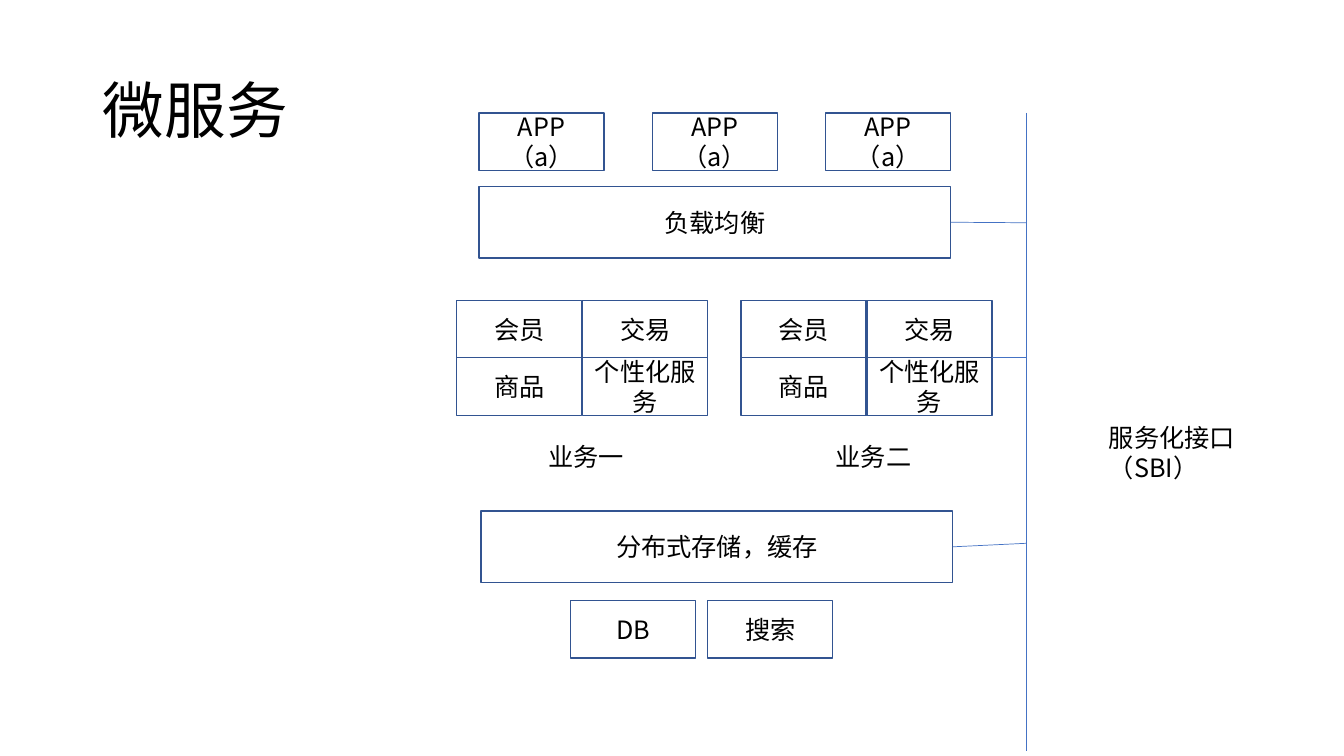
from lxml import etree
from pptx import Presentation
from pptx.dml.color import RGBColor
from pptx.enum.shapes import MSO_CONNECTOR, MSO_SHAPE
from pptx.enum.text import MSO_ANCHOR, MSO_AUTO_SIZE, PP_ALIGN
from pptx.oxml.ns import qn
from pptx.util import Inches, Pt

RECT = MSO_SHAPE.RECTANGLE
LINE = MSO_CONNECTOR.STRAIGHT
MIDDLE = MSO_ANCHOR.MIDDLE
TOP = MSO_ANCHOR.TOP
LEFT = PP_ALIGN.LEFT
CENTER = PP_ALIGN.CENTER
NO_FIT = MSO_AUTO_SIZE.NONE
GROW = MSO_AUTO_SIZE.SHAPE_TO_FIT_TEXT

COLORS = {"fill": "FFFFFF", "edge": "325491", "link": "4472C4", "text": "000000"}
FONT = "Noto Sans CJK SC"
CELL_W, CELL_H = 1.24, 0.57
BAR_W, BAR_H = 4.68, 0.71
PITCH = 1.25
BUS_X = 10.18
SERVICES = [["会员", "交易"], ["商品", "个性化服务"]]


def color(name):
    return RGBColor.from_string(COLORS[name])


class Board:
    def __init__(self, slide):
        self.slide = slide

    def style(self, shape, text, size, align, anchor):
        frame = shape.text_frame
        frame.text = text
        frame.vertical_anchor = anchor
        for para in frame.paragraphs:
            para.alignment = align
            for run in para.runs:
                run.font.size = Pt(size)
                run.font.name = FONT
                run.font.color.rgb = color("text")
                east = etree.SubElement(run.font._element, qn("a:ea"))
                east.set("typeface", FONT)

    def title(self, text, x, y, w, h):
        shape = self.slide.shapes.title
        shape.left, shape.top = Inches(x), Inches(y)
        shape.width, shape.height = Inches(w), Inches(h)
        self.style(shape, text, 44, LEFT, MIDDLE)
        shape.text_frame.auto_size = NO_FIT
        shape.text_frame.paragraphs[0].line_spacing = 0.9

    def box(self, text, x, y, w=CELL_W, h=CELL_H, group=None):
        owner = group or self.slide
        shape = owner.shapes.add_shape(RECT, Inches(x), Inches(y), Inches(w), Inches(h))
        shape.shadow.inherit = False
        shape.fill.solid()
        shape.fill.fore_color.rgb = color("fill")
        shape.line.color.rgb = color("edge")
        shape.line.width = Pt(1)
        self.style(shape, text, 18, CENTER, MIDDLE)
        return shape

    def label(self, text, x, y, w, wrap=False):
        shape = self.slide.shapes.add_textbox(Inches(x), Inches(y), Inches(w), Inches(0.4))
        self.style(shape, text, 18, LEFT, TOP)
        shape.text_frame.word_wrap = wrap
        shape.text_frame.auto_size = GROW

    def domain(self, x, y):
        group = self.slide.shapes.add_group_shape()
        for row, names in enumerate(SERVICES):
            for col, name in enumerate(names):
                self.box(name, x + col * PITCH, y + row * CELL_H, group=group)

    def link(self, x1, y1, x2, y2, start=None):
        line = self.slide.shapes.add_connector(
            LINE, Inches(x1), Inches(y1), Inches(x2), Inches(y2))
        line.line.color.rgb = color("link")
        line.line.width = Pt(0.5)
        etree.SubElement(line._element.spPr, qn("a:effectLst"))
        if start is not None:
            line.begin_connect(start, 3)


def main():
    deck = Presentation()
    deck.slide_width, deck.slide_height = Inches(13.33), Inches(7.5)
    board = Board(deck.slides.add_slide(deck.slide_layouts[5]))

    board.title("微服务", 0.92, 0.4, 2.3, 1.45)
    for col in range(3):
        board.box("APP（a）", 4.75 + col * 1.72, 1.12)
    balance = board.box("负载均衡", 4.75, 1.85, BAR_W, BAR_H)

    for name, x, label_x in [("业务一", 4.53, 5.34), ("业务二", 7.35, 8.19)]:
        board.domain(x, 2.98)
        board.label(name, label_x, 4.33, 0.96)

    store = board.box("分布式存储，缓存", 4.77, 5.07, BAR_W, BAR_H)
    for col, name in enumerate(["DB", "搜索"]):
        board.box(name, 5.66 + col * 1.36, 5.96)

    board.link(BUS_X, 1.12, BUS_X, 7.45)
    board.label("服务化接口（SBI）", 10.9, 4.14, 2.3, wrap=True)
    board.link(9.43, 2.2, BUS_X, 2.21, balance)
    board.link(9.45, 5.42, BUS_X, 5.39, store)
    board.link(9.84, 3.55, BUS_X, 3.55)

    deck.save("out.pptx")


if __name__ == "__main__":
    main()
